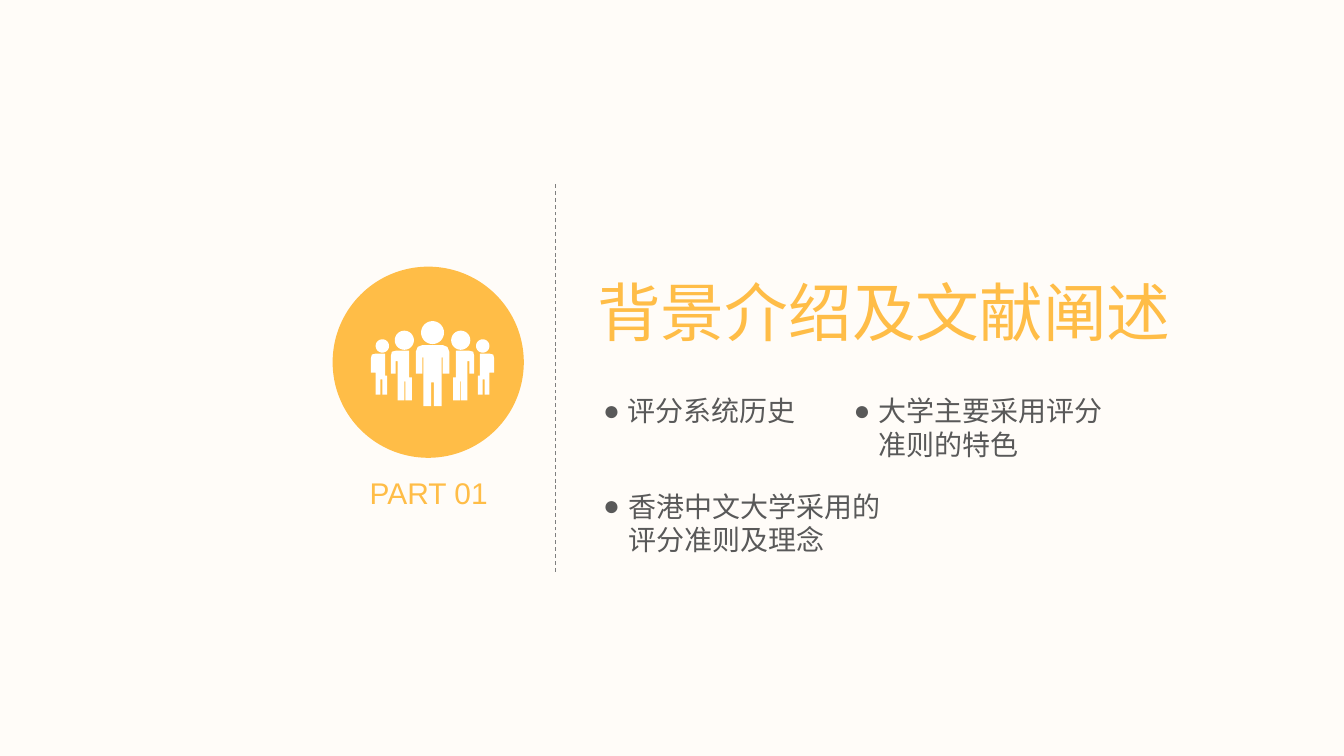
import math

import lxml.etree
import pptx
import pptx.dml.color
import pptx.enum.dml
import pptx.enum.shapes
import pptx.enum.text
import pptx.oxml.ns
import pptx.util

Inches = pptx.util.Inches
COLORS = {"cream": "FFFCF8", "amber": "FFBD47", "gray": "595959",
          "divider": "7F7F7F", "white": "FFFFFF"}
CREW_AXIS = 4.525


def rgb(name):
    return pptx.dml.color.RGBColor.from_string(COLORS[name])


def add_child(parent, tag, **attributes):
    return lxml.etree.SubElement(parent, pptx.oxml.ns.qn(tag), attributes)


def write_text(paragraph, text, size, color, align="LEFT", hanging=0, bullet=None):
    paragraph.alignment = getattr(pptx.enum.text.PP_ALIGN, align)
    if hanging:
        properties = paragraph._p.get_or_add_pPr()
        properties.set("marL", str(Inches(hanging)))
        properties.set("indent", str(-Inches(hanging) if bullet else 0))
        if bullet:
            bullet_color = add_child(properties, "a:buClr")
            add_child(bullet_color, "a:srgbClr", val=COLORS[color])
            add_child(properties, "a:buSzPct", val="100000")
            add_child(properties, "a:buFont", typeface="Arial")
            add_child(properties, "a:buChar", char=bullet)
        else:
            add_child(properties, "a:buNone")
    run = paragraph.add_run()
    run.text = text
    run.font.name = "Arial"
    run.font.size = pptx.util.Pt(size)
    run.font.color.rgb = rgb(color)


def mirrored(points):
    return [(2 * CREW_AXIS - x, y) for x, y in points]


def head(x, y, radius, steps=32):
    angles = [2 * math.pi * step / steps for step in range(steps)]
    return [(x + radius * math.cos(a), y + radius * math.sin(a)) for a in angles]


class SectionSlide:
    def __init__(self, presentation):
        self.slide = presentation.slides.add_slide(presentation.slide_layouts[6])
        self.shapes = self.slide.shapes
        background = self.slide.background.fill
        background.solid()
        background.fore_color.rgb = rgb("cream")

    def text(self, left, top, width, height, lines, margins=(0, 0), **style):
        box = self.shapes.add_textbox(*map(Inches, (left, top, width, height)))
        frame = box.text_frame
        frame.word_wrap = True
        frame.margin_left = frame.margin_right = Inches(margins[0])
        frame.margin_top = frame.margin_bottom = Inches(margins[1])
        for index, line in enumerate(lines):
            paragraph = frame.add_paragraph() if index else frame.paragraphs[0]
            write_text(paragraph, line, **style)
            style["bullet"] = None

    def topic(self, left, top, width, height, *lines):
        self.text(left, top, width, height, lines, size=21.1, color="gray",
                  hanging=0.26, bullet="●")

    def divider(self, x, top, bottom):
        line = self.shapes.add_connector(
            pptx.enum.shapes.MSO_CONNECTOR.STRAIGHT,
            Inches(x), Inches(top), Inches(x), Inches(bottom))
        line.line.color.rgb = rgb("divider")
        line.line.width = pptx.util.Pt(0.75)
        line.line.dash_style = pptx.enum.dml.MSO_LINE.DASH
        add_child(line._element.spPr, "a:effectLst")

    def paint(self, shape, color):
        shape.shadow.inherit = False
        shape.fill.solid()
        shape.fill.fore_color.rgb = rgb(color)
        shape.line.fill.background()

    def disc(self, left, top, diameter, color):
        circle = self.shapes.add_shape(
            pptx.enum.shapes.MSO_SHAPE.OVAL,
            *map(Inches, (left, top, diameter, diameter)))
        self.paint(circle, color)

    def outline(self, contours, color):
        contours = [[(Inches(x), Inches(y)) for x, y in points] for points in contours]
        builder = self.shapes.build_freeform(*contours[0][0])
        for index, points in enumerate(contours):
            if index:
                builder.move_to(*points[0])
            builder.add_line_segments(points[1:], close=True)
        self.paint(builder.convert_to_shape(), color)


def crew_contours():
    outer_body = [
        (4.05, 3.93), (4.05, 4.13), (4, 4.13), (4, 3.97), (3.98, 3.97),
        (3.98, 4.13), (3.93, 4.13), (3.93, 3.9), (3.88, 3.9), (3.88, 3.75),
        (3.89, 3.71), (3.93, 3.7), (4.03, 3.7), (4.03, 3.93)]
    inner_body = [
        (4.31, 3.95), (4.31, 4.19), (4.24, 4.19), (4.24, 3.99), (4.23, 3.99),
        (4.23, 4.19), (4.16, 4.19), (4.16, 3.78), (4.14, 3.78), (4.14, 3.91),
        (4.09, 3.91), (4.09, 3.72), (4.1, 3.68), (4.14, 3.67), (4.28, 3.67),
        (4.28, 3.95)]
    leader_half = [
        (4.51, 4), (4.51, 4.25), (4.43, 4.25), (4.43, 3.74), (4.42, 3.74),
        (4.42, 3.91), (4.35, 3.91), (4.35, 3.68), (4.37, 3.63), (4.42, 3.61)]
    leader = leader_half + mirrored(leader_half)[::-1]
    left_side = [outer_body, head(4, 3.62, 0.07), inner_body, head(4.23, 3.56, 0.1)]
    right_side = [mirrored(points) for points in left_side]
    return left_side + [leader, head(CREW_AXIS, 3.48, 0.12)] + right_side


def main():
    presentation = pptx.Presentation()
    presentation.slide_width = Inches(14.06)
    presentation.slide_height = Inches(7.91)
    section = SectionSlide(presentation)
    section.text(6.15, 2.81, 7, 1.01, ["背景介绍及文献阐述"], margins=(0.1, 0.05),
                 size=48, color="amber")
    section.divider(5.81, 5.98, 1.92)
    section.topic(6.31, 5.12, 3.71, 0.7, "香港中文大学采用的", "评分准则及理念")
    section.topic(8.93, 4.12, 2.74, 0.51, "大学主要采用评分准则的特色")
    section.text(3.79, 4.97, 1.39, 0.38, ["PART 01"], size=22.5, color="amber",
                 align="CENTER")
    section.disc(3.48, 2.79, 2, "amber")
    section.outline(crew_contours(), "white")
    section.topic(6.31, 4.12, 2.3, 0.35, "评分系统历史")
    presentation.save("out.pptx")


if __name__ == "__main__":
    main()
